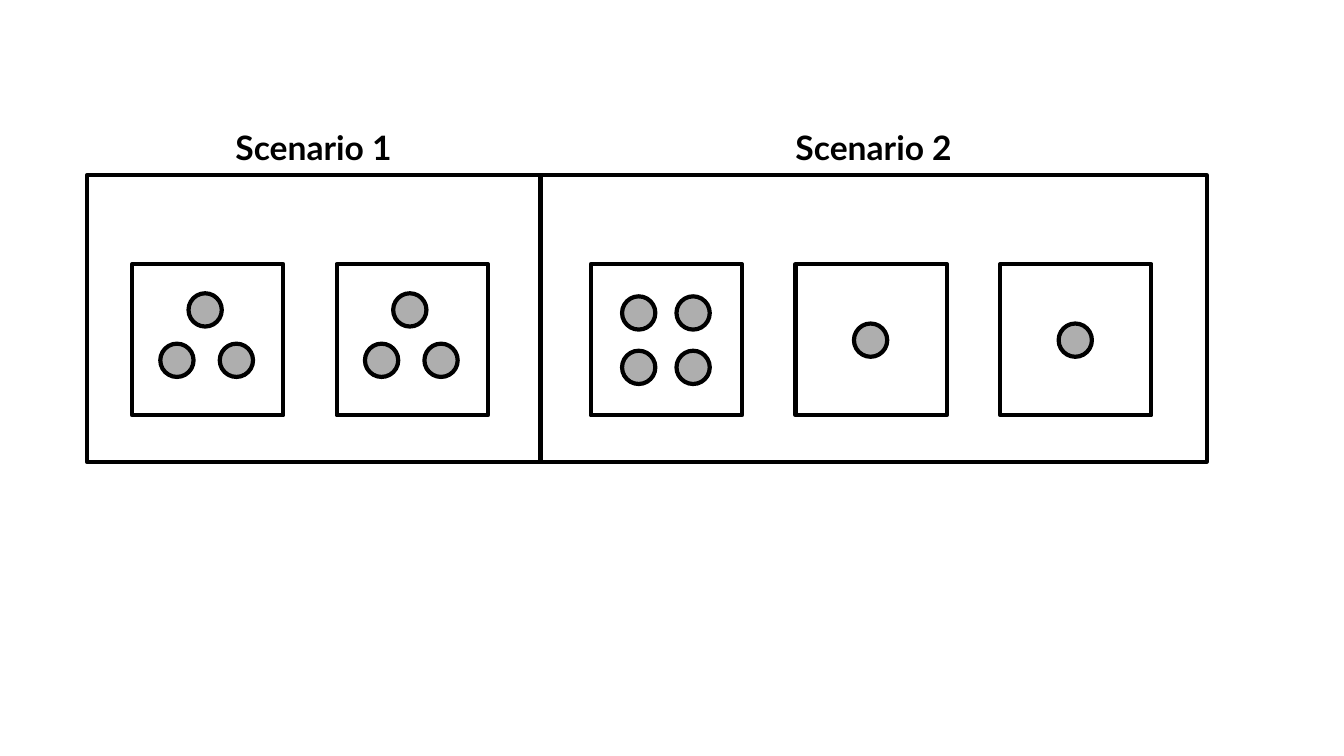
from pptx import Presentation
from pptx.dml.color import RGBColor
from pptx.enum.shapes import MSO_SHAPE
from pptx.enum.text import PP_ALIGN
from pptx.util import Inches, Pt

RECTANGLE = MSO_SHAPE.RECTANGLE
OVAL = MSO_SHAPE.OVAL
CENTER = PP_ALIGN.CENTER

COLORS = {"ink": "000000", "dot": "AEAEAE"}
FONT = "Lato"

FRAME_TOP, FRAME_HEIGHT = 1.74, 2.84
LABEL_RISE, LABEL_HEIGHT = 0.53, 0.5
TILE_SIZE, TILE_PITCH, TILE_DROP = 1.5, 2.03, 0.88
DOT_SIZE = 0.33

ONE_DOT = [(0.58, 0.59)]
THREE_DOTS = [(0.28, 0.79), (0.87, 0.79), (0.56, 0.29)]
FOUR_DOTS = [(x, y) for y in (0.86, 0.32) for x in (0.31, 0.85)]

SCENARIOS = [
    ("Scenario 1", 0.86, 4.5, 0.45, [THREE_DOTS, THREE_DOTS]),
    ("Scenario 2", 5.36, 6.61, 0.5, [FOUR_DOTS, ONE_DOT, ONE_DOT]),
]


def color(name):
    return RGBColor.from_string(COLORS[name])


def add_outlined(slide, kind, left, top, width, height, fill=None):
    shape = slide.shapes.add_shape(
        kind, Inches(left), Inches(top), Inches(width), Inches(height))
    shape.shadow.inherit = False
    if fill:
        shape.fill.solid()
        shape.fill.fore_color.rgb = color(fill)
    else:
        shape.fill.background()
    shape.line.color.rgb = color("ink")
    shape.line.width = Pt(3)


def add_label(slide, text, left, top, width):
    box = slide.shapes.add_textbox(
        Inches(left), Inches(top), Inches(width), Inches(LABEL_HEIGHT))
    box.text_frame.word_wrap = True
    paragraph = box.text_frame.paragraphs[0]
    paragraph.text = text
    paragraph.alignment = CENTER
    paragraph.font.name = FONT
    paragraph.font.size = Pt(24)
    paragraph.font.bold = True
    paragraph.font.color.rgb = color("ink")


def add_tile(slide, left, top, dots):
    add_outlined(slide, RECTANGLE, left, top, TILE_SIZE, TILE_SIZE)
    for x, y in dots:
        add_outlined(slide, OVAL, left + x, top + y, DOT_SIZE, DOT_SIZE, "dot")


def add_scenario(slide, label, left, top, width, height, inset, tiles):
    add_label(slide, label, left, top - LABEL_RISE, width)
    add_outlined(slide, RECTANGLE, left, top, width, height)
    for index, dots in enumerate(tiles):
        add_tile(slide, left + inset + index * TILE_PITCH, top + TILE_DROP, dots)


def main():
    presentation = Presentation()
    presentation.slide_width = Inches(13.33)
    presentation.slide_height = Inches(7.5)
    slide = presentation.slides.add_slide(presentation.slide_layouts[6])
    for label, left, width, inset, tiles in SCENARIOS:
        add_scenario(slide, label, left, FRAME_TOP, width, FRAME_HEIGHT, inset, tiles)
    presentation.save("out.pptx")


if __name__ == "__main__":
    main()
